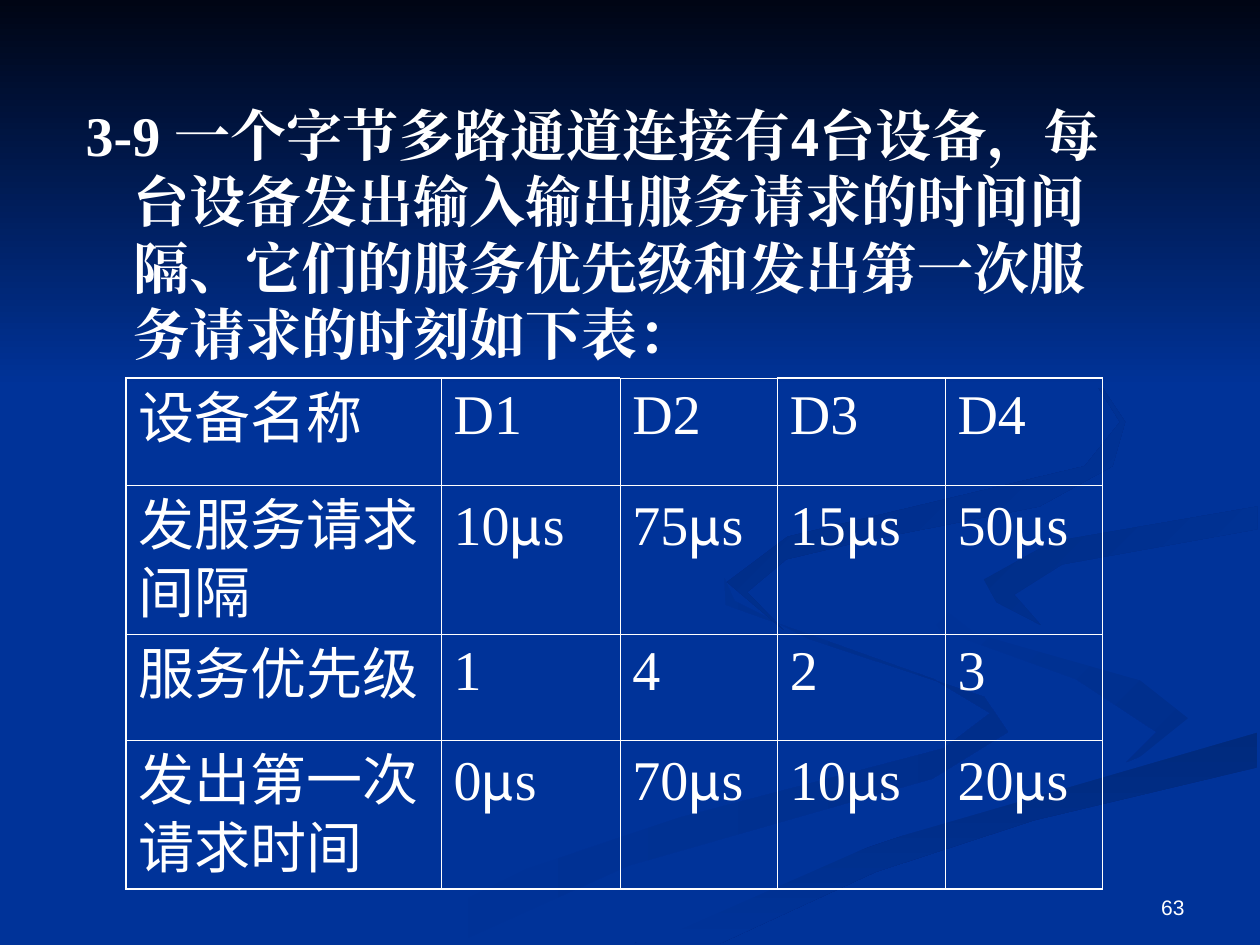
"""Build the slide of exercise 3-9: four devices on a byte multiplexer channel."""
from lxml.etree import SubElement
from pptx import Presentation
from pptx.dml.color import RGBColor
from pptx.enum.lang import MSO_LANGUAGE_ID
from pptx.enum.shapes import MSO_SHAPE
from pptx.enum.text import MSO_ANCHOR, PP_ALIGN
from pptx.oxml.ns import qn
from pptx.util import Inches, Pt

COLORS = {
    "blue": "003399", "night": "000514", "white": "FFFFFF",
    "wave": "002E8B", "edge": "002A7D", "curl": "002D86", "loop": "002B82",
}
RGB = {name: RGBColor.from_string(value) for name, value in COLORS.items()}
SERIF, SANS = "Times New Roman", "Cabin"


def paint(sp, first, last, angle):
    """Fill a shape with a gradient turned clockwise by angle, or a plain colour."""
    sp.shadow.inherit = False
    sp.line.fill.background()
    if first == last:
        sp.fill.solid()
        sp.fill.fore_color.rgb = RGB[first]
        return
    sp.fill.gradient()
    sp.fill.gradient_angle = -angle % 360
    for stop, color in zip(sp.fill.gradient_stops, (first, last)):
        stop.color.rgb = RGB[color]


def add_run(p, text, font, size=32, bold=False):
    """Add a white run whose East Asian font matches its Latin font."""
    r = p.add_run()
    r.text = text
    r.font.size, r.font.bold, r.font.name = Pt(size), bold, font
    r.font.color.rgb = RGB["white"]
    r.font.language_id = MSO_LANGUAGE_ID.SIMPLIFIED_CHINESE
    SubElement(r.font._element, qn("a:ea"), typeface=font)


prs = Presentation()
prs.slide_width, prs.slide_height = Inches(10), Inches(7.5)
s = prs.slides.add_slide(prs.slide_layouts[1])
s.background.fill.solid()
s.background.fill.fore_color.rgb = RGB["blue"]
s.shapes.title._element.getparent().remove(s.shapes.title._element)

ribbons = [
    ("blue", "wave", 0, [
        (7.81, 5.53), (6.42, 5.07), (5.83, 4.77), (5.75, 4.59), (5.76, 4.8),
        (7.41, 5.39), (7.86, 5.66), (7.49, 5.94), (5.39, 6.49), (4.17, 6.9),
        (3, 7.49), (3.61, 7.49), (4.99, 6.87), (7.4, 6.18), (8, 5.81)]),
    ("blue", "wave", 45, [
        (9.43, 5.7), (9.05, 5.4), (7.74, 5.03), (7.24, 4.64), (7.46, 5),
        (8.54, 5.39), (9.18, 5.81), (8.94, 6.05), (9.37, 5.86)]),
    ("edge", "blue", 90, [
        (5.03, 7.49), (5.71, 7.49), (6.95, 6.92), (8.21, 6.51), (9.98, 6.09),
        (9.98, 5.81), (7.64, 6.47), (6.3, 6.93)]),
    ("blue", "blue", 0, [
        (7.25, 4.64), (7.75, 5.03), (9.05, 5.4), (9.43, 5.7), (9.02, 6.03),
        (7.04, 6.55), (4.77, 7.49), (5.19, 7.47), (6.96, 6.69), (9.99, 5.81),
        (9.99, 5.38), (8.32, 4.98), (7.81, 4.63), (8.35, 4.3), (9.99, 4.02),
        (9.99, 3.87), (7.7, 4.27)]),
    ("curl", "blue", 45, [
        (7.81, 4.6), (7.91, 4.78), (8.26, 4.96), (8.05, 4.72), (8.43, 4.48),
        (9.98, 4.2), (9.98, 4.02), (8.35, 4.3)]),
    ("loop", "blue", 45, [
        (6.83, 4.3), (8.25, 4.02), (8.83, 3.7), (8.93, 3.35), (8.64, 2.91),
        (7.62, 2.33), (8.62, 2.92), (8.89, 3.35), (8.61, 3.7), (6.25, 4.26),
        (5.77, 4.62), (6.22, 5), (5.93, 4.7), (6.24, 4.44)]),
]
for first, last, angle, points in ribbons:
    outline = [(Inches(x), Inches(y)) for x, y in points]
    builder = s.shapes.build_freeform(*outline[0])
    builder.add_line_segments(outline[1:], close=True)
    paint(builder.convert_to_shape(), first, last, angle)

sky = s.shapes.add_shape(MSO_SHAPE.RECTANGLE, 0, 0, prs.slide_width, Inches(3.08))
paint(sky, "night", "blue", 90)

number = s.shapes.add_textbox(Inches(7.17), Inches(6.83), Inches(2.33), Inches(0.52))
tf = number.text_frame
tf.word_wrap = True
tf.vertical_anchor = MSO_ANCHOR.BOTTOM
tf.paragraphs[0].alignment = PP_ALIGN.RIGHT
add_run(tf.paragraphs[0], "63", "Arial", size=12)

body = s.placeholders[1]
s.shapes._spTree.append(body._element)
body.left, body.top = Inches(0.58), Inches(0.75)
body.width, body.height = Inches(8.5), Inches(5.92)
p = body.text_frame.paragraphs[0]
p.line_spacing, p.space_before = Pt(38), Pt(0)
pPr = p._p.get_or_add_pPr()
pPr.set("marL", str(Inches(0.38)))
pPr.set("indent", str(Inches(-0.38)))
SubElement(pPr, qn("a:buNone"))
add_run(p, "3-9 一个字节多路通道连接有4台设备，每台设备发出输入输出服务请求的时间间隔、"
        "它们的服务优先级和发出第一次服务请求的时刻如下表：", SERIF, bold=True)

rows = [
    ["设备名称", "D1", "D2", "D3", "D4"],
    ["发服务请求间隔", "10µs", "75µs", "15µs", "50µs"],
    ["服务优先级", "1", "4", "2", "3"],
    ["发出第一次请求时间", "0µs", "70µs", "10µs", "20µs"],
]
widths, heights = [2.5, 1.42, 1.25, 1.33, 1.25], [0.85, 1.17, 0.84, 1.17]
table = s.shapes.add_table(len(rows), len(widths), Inches(1), Inches(3),
                           Inches(sum(widths)), Inches(sum(heights))).table
table.first_row = table.horz_banding = False
for column, width in zip(table.columns, widths):
    column.width = Inches(width)
for i, (row, height) in enumerate(zip(rows, heights)):
    table.rows[i].height = Inches(height)
    for j, text in enumerate(row):
        cell = table.cell(i, j)
        p = cell.text_frame.paragraphs[0]
        value, unit, second = text.partition("µ")
        for part, font in ((value, SERIF if j else SANS), (unit, SANS), (second, SERIF)):
            if part:
                add_run(p, part, font)
        tcPr = cell._tc.get_or_add_tcPr()
        outer = {"lnL": j == 0, "lnR": j == len(widths) - 1,
                 "lnT": i == 0 and j != 2, "lnB": i == len(rows) - 1}
        for side, thick in outer.items():
            ln = SubElement(tcPr, qn(f"a:{side}"), w=str(Pt(1.08 if thick else 0.45)))
            SubElement(SubElement(ln, qn("a:solidFill")), qn("a:srgbClr"), val=COLORS["white"])
        cell.fill.background()

prs.save("out.pptx")
